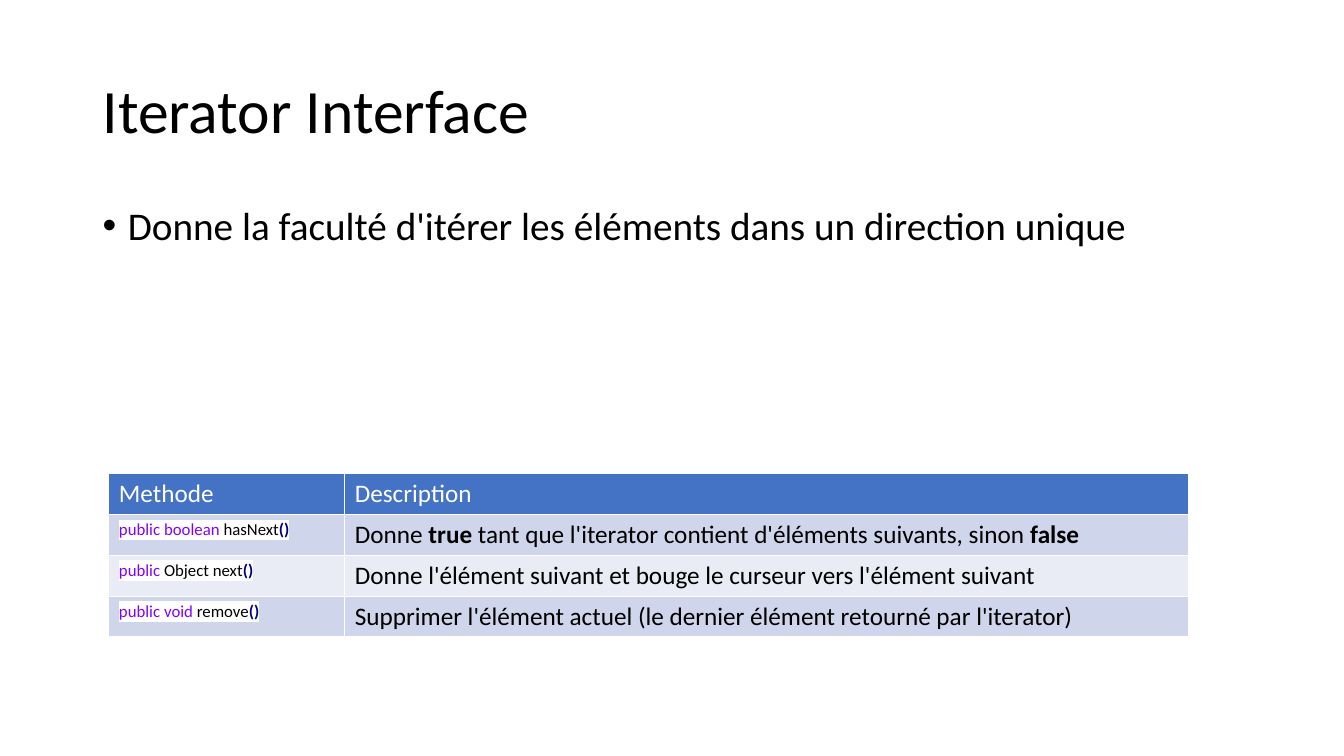
from lxml import etree
from pptx import Presentation
from pptx.dml.color import RGBColor
from pptx.enum.text import MSO_ANCHOR
from pptx.oxml.ns import qn
from pptx.util import Inches, Pt

BLACK = RGBColor(0x00, 0x00, 0x00)
WHITE = RGBColor(0xFF, 0xFF, 0xFF)
HEADER_BLUE = RGBColor(0x44, 0x72, 0xC4)
BAND_DARK = RGBColor(0xCF, 0xD5, 0xEA)
BAND_LIGHT = RGBColor(0xE9, 0xEB, 0xF5)
KEYWORD = RGBColor(0x80, 0x00, 0xFF)
BRACKET = RGBColor(0x00, 0x00, 0x80)

HEADINGS = ["Methode", "Description"]
# Signatures are lists of (text, colour); descriptions are lists of (text, bold).
METHODS = [
    ([("public", KEYWORD), (" ", BLACK), ("boolean", KEYWORD), (" hasNext", BLACK), ("()", BRACKET)],
     [("Donne ", False), ("true", True),
      (" tant que l'iterator contient d'éléments suivants, sinon ", False), ("false", True)]),
    ([("public", KEYWORD), (" Object next", BLACK), ("()", BRACKET)],
     [("Donne l'élément suivant et bouge le curseur vers l'élément suivant", False)]),
    ([("public", KEYWORD), (" ", BLACK), ("void", KEYWORD), (" remove", BLACK), ("()", BRACKET)],
     [("Supprimer l'élément actuel (le dernier élément retourné par l'iterator)", False)]),
]


def set_font(para, size, colour):
    para.font.name = "Calibri"
    para.font.size = Pt(size)
    para.font.color.rgb = colour


def add_text(page, text, left, top, width, height, size, anchor):
    """Add a wrapped one-paragraph text box and return its paragraph."""
    box = page.shapes.add_textbox(Inches(left), Inches(top), Inches(width), Inches(height))
    box.text_frame.word_wrap = True
    box.text_frame.vertical_anchor = anchor
    para = box.text_frame.paragraphs[0]
    para.text = text
    para.line_spacing = 0.9
    set_font(para, size, BLACK)
    return para


deck = Presentation()
deck.slide_width = Inches(13.33)
deck.slide_height = Inches(7.5)
page = deck.slides.add_slide(deck.slide_layouts[6])

add_text(page, "Iterator Interface", 0.92, 0.4, 11.5, 1.45, 44, MSO_ANCHOR.MIDDLE)

bullet = add_text(page, "Donne la faculté d'itérer les éléments dans un direction unique",
                  0.92, 2, 11.28, 4.76, 28, MSO_ANCHOR.TOP)
bullet.space_before = Pt(10)
bullet_props = bullet._p.get_or_add_pPr()
bullet_props.set("marL", str(Inches(0.25)))
bullet_props.set("indent", str(Inches(-0.25)))
bullet_char = etree.Element(qn("a:buChar"), char="•")
bullet_font = etree.Element(qn("a:buFont"), typeface="Arial")
bullet_props.find(qn("a:defRPr")).addprevious(bullet_font)
bullet_font.addnext(bullet_char)

table = page.shapes.add_table(len(METHODS) + 1, 2, Inches(1.08), Inches(4.7),
                              Inches(10.71), Inches(1.62)).table
for column, width in zip(table.columns, [2.34, 8.37]):
    column.width = Inches(width)

for cell, heading in zip(table.rows[0].cells, HEADINGS):
    cell.fill.solid()
    cell.fill.fore_color.rgb = HEADER_BLUE
    para = cell.text_frame.paragraphs[0]
    para.text = heading
    set_font(para, 18, WHITE)
    para.font.bold = False

for row, (signature, description) in enumerate(METHODS, start=1):
    for cell in table.rows[row].cells:
        cell.fill.solid()
        cell.fill.fore_color.rgb = BAND_DARK if row % 2 else BAND_LIGHT

    para = table.cell(row, 0).text_frame.paragraphs[0]
    set_font(para, 12, BLACK)
    for text, colour in signature:
        span = para.add_run()
        span.text = text
        span.font.color.rgb = colour
        span.font.bold = colour == BRACKET
        highlight = etree.Element(qn("a:highlight"))
        etree.SubElement(highlight, qn("a:srgbClr"), val=str(WHITE))
        span.font._element.find(qn("a:solidFill")).addnext(highlight)

    para = table.cell(row, 1).text_frame.paragraphs[0]
    set_font(para, 18, BLACK)
    for text, bold in description:
        span = para.add_run()
        span.text = text
        span.font.bold = bold

deck.save("out.pptx")
